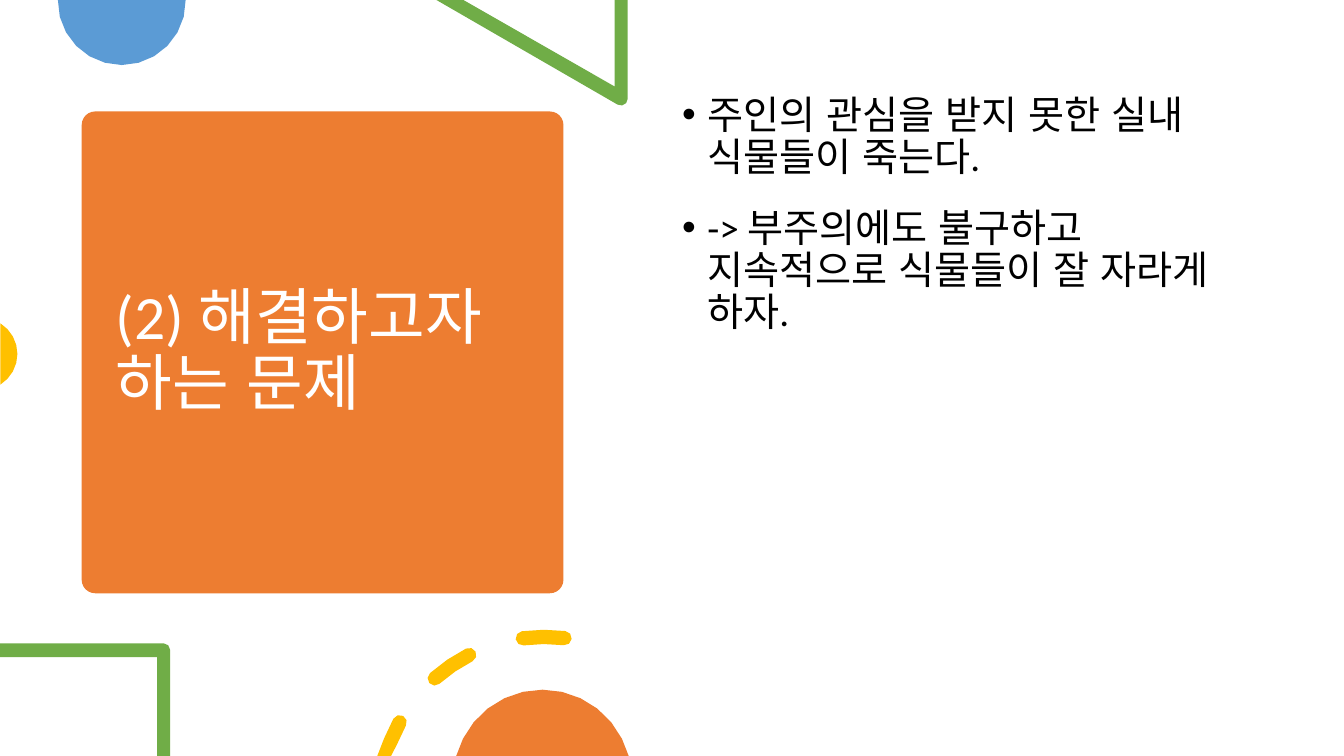
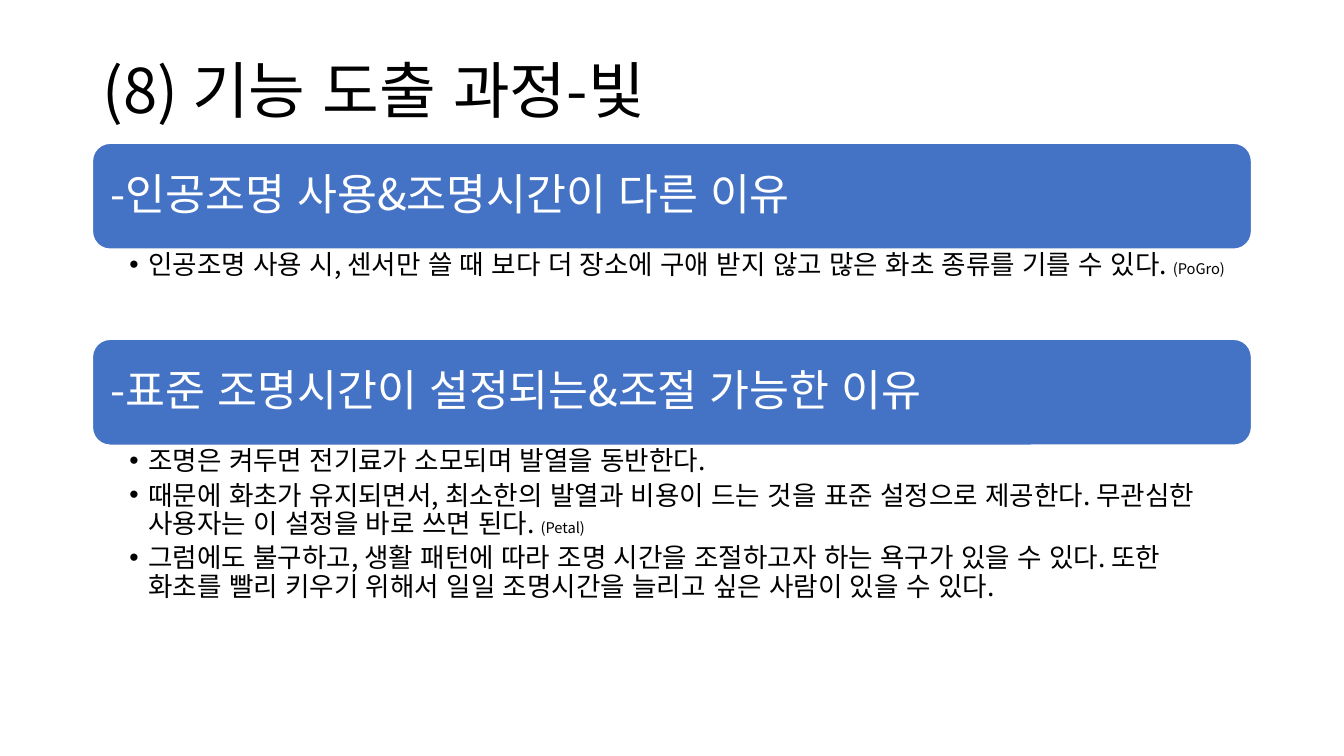
"""Build two slides on a smart plant pot: the problem, and how its light features were derived."""
from math import cos, radians, sin

from lxml.etree import SubElement
from pptx import Presentation
from pptx.dml.color import RGBColor
from pptx.enum.lang import MSO_LANGUAGE_ID as Language
from pptx.enum.shapes import MSO_SHAPE as Shape
from pptx.enum.text import MSO_ANCHOR as Anchor, PP_ALIGN as Align
from pptx.oxml.ns import qn
from pptx.util import Cm, Pt

SLIDE_W, SLIDE_H = 33.87, 19.05
ORANGE, GREEN, YELLOW, SKY, BLUE = "ED7D31", "70AD47", "FFC000", "5B9BD5", "4472C4"
BLACK, WHITE = "000000", "FFFFFF"
LATIN, KOREAN = "Calibri", "Noto Sans CJK KR"
TITLE_SIZE, NOTE_SIZE = 44, 10.5

PROBLEM_TITLE = "(2) 해결하고자 하는 문제"
PROBLEMS = [
    ["주인의 관심을 받지 못한 실내 식물들이 죽는다."],
    ["-> 부주의에도 불구하고 지속적으로 식물들이 잘 자라게 하자."],
]
LIGHT_TITLE = "(8) 기능 도출 과정-빛"
LIGHT_SECTIONS = [
    ("-인공조명 사용&조명시간이 다른 이유", 2.27, [
        ["인공조명 사용 시, 센서만 쓸 때 보다 더 장소에 구애 받지 않고 "
         "많은 화초 종류를 기를 수 있다. ", "(PoGro)"],
    ]),
    ("-표준 조명시간이 설정되는&조절 가능한 이유", 5.89, [
        ["조명은 켜두면 전기료가 소모되며 발열을 동반한다."],
        ["때문에 화초가 유지되면서, 최소한의 발열과 비용이 드는 것을 표준 설정으로 "
         "제공한다. 무관심한 사용자는 이 설정을 바로 쓰면 된다. ", "(Petal)"],
        ["그럼에도 불구하고, 생활 패턴에 따라 조명 시간을 조절하고자 하는 욕구가 있을 수 있다. "
         "또한 화초를 빨리 키우기 위해서 일일 조명시간을 늘리고 싶은 사람이 있을 수 있다."],
    ]),
]
SECTIONS_LEFT, SECTIONS_TOP, SECTIONS_W, BAR_H = 2.33, 3.61, 29.21, 2.67


def rgb(color):
    return RGBColor.from_string(color)


def arc(x, y, radius, start, end, steps):
    angles = [radians(start + (end - start) * i / steps) for i in range(steps + 1)]
    return [(x + radius * cos(a), y + radius * sin(a)) for a in angles]


def ring_dash(x, y, radius, start, end, half):
    """Outline one round-ended dash of a ring."""
    first, last = arc(x, y, radius, start, end, 1)
    return (arc(x, y, radius + half, start, end, 2) + arc(*last, half, end + 45, end + 135, 2)
            + arc(x, y, radius - half, end, start, 2)
            + arc(*first, half, start + 225, start + 315, 2))


DECORATIONS = [
    (SKY, [arc(3.07, 0.03, 1.61, -1, 181, 12)]),
    (GREEN, [[(15.82, 0), (15.49, 0), (15.49, 2.18), (11.68, 0), (11, 0)]
             + arc(15.65, 2.49, 0.17, 120, 0, 3)]),
    (YELLOW, [arc(-0.47, 8.92, 0.91, -58, 58, 8)]),
    (GREEN, [[(0, 16.21)] + arc(4.12, 16.38, 0.17, 270, 360, 2)
             + [(4.29, SLIDE_H), (3.96, SLIDE_H), (3.96, 16.56), (0, 16.56)]]),
    (YELLOW, [ring_dash(13.72, 20.22, 4.17, start, start + 14.5, 0.18)
              for start in (194.5, 228.5, 262.5)]),
    (ORANGE, [arc(13.67, 19.62, 2.24, 194, 346, 12)]),
]


def paint(shape, color, outline=None):
    shape.shadow.inherit = False
    shape.fill.solid()
    shape.fill.fore_color.rgb = rgb(color)
    if outline:
        shape.line.color.rgb = rgb(outline)
        shape.line.width = Pt(1)
    else:
        shape.line.fill.background()


def add_outline(slide, color, contours):
    """Draw closed contours as one shape, cut off at the slide edges."""
    contours = [[(Cm(min(max(x, 0), SLIDE_W)), Cm(min(max(y, 0), SLIDE_H))) for x, y in contour]
                for contour in contours]
    builder = slide.shapes.build_freeform(*contours[0][0])
    for contour in contours:
        if contour is not contours[0]:
            builder.move_to(*contour[0])
        builder.add_line_segments(contour[1:], close=True)
    paint(builder.convert_to_shape(), color)


def write(shape, paragraphs, size, color, font, anchor=Anchor.MIDDLE, insets=(0.25, 0.13, 0.25, 0.13),
          before=0, after=0, hang=0):
    """Fill a shape with paragraphs, each a text and an optional small note."""
    frame = shape.text_frame
    frame.word_wrap = True
    frame.vertical_anchor = anchor
    frame.margin_left, frame.margin_top, frame.margin_right, frame.margin_bottom = map(Cm, insets)
    for i, texts in enumerate(paragraphs):
        paragraph = frame.add_paragraph() if i else frame.paragraphs[0]
        paragraph.alignment = Align.LEFT
        paragraph.line_spacing = 0.9
        paragraph.space_before, paragraph.space_after = Pt(before), Pt(after)
        props = paragraph._p.get_or_add_pPr()
        if hang:
            props.set("marL", str(Cm(hang)))
            props.set("indent", str(-Cm(hang)))
            SubElement(props, qn("a:buFont")).set("typeface", "Arial")
            SubElement(props, qn("a:buChar")).set("char", "•")
        paragraph.font.size = Pt(size)
        paragraph.font.language_id = Language.KOREAN
        paragraph.font.color.rgb = rgb(color)
        paragraph.font.name = font
        SubElement(props.find(qn("a:defRPr")), qn("a:ea")).set("typeface", KOREAN)
        for text in texts:
            run = paragraph.add_run()
            run.text = text
            if text is not texts[0]:
                run.font.size = Pt(NOTE_SIZE)


def add_box(slide, *place):
    return slide.shapes.add_textbox(*map(Cm, place))


def add_card(slide, place, color, outline=None):
    card = slide.shapes.add_shape(Shape.ROUNDED_RECTANGLE, *map(Cm, place))
    paint(card, color, outline)
    return card


def build_problem(slide):
    card = add_card(slide, (2.06, 2.81, 12.14, 12.14), ORANGE)
    card.adjustments[0] = 0.028
    write(card, [[PROBLEM_TITLE]], TITLE_SIZE, WHITE, LATIN, insets=(0.76, 0.13, 0.76, 0.13))
    for color, contours in DECORATIONS:
        add_outline(slide, color, contours)
    write(add_box(slide, 16.94, 2.28, 14.6, 13.59), PROBLEMS, 28, BLACK, LATIN,
          Anchor.TOP, before=10, after=10, hang=0.64)


def build_light(slide):
    title = add_box(slide, SECTIONS_LEFT, 0, SECTIONS_W, 4.7)
    write(title, [[LIGHT_TITLE]], TITLE_SIZE, BLACK, KOREAN)
    top = SECTIONS_TOP
    for heading, list_h, reasons in LIGHT_SECTIONS:
        bar = add_card(slide, (SECTIONS_LEFT, top, SECTIONS_W, BAR_H), BLUE, WHITE)
        write(bar, [[heading]], 31, WHITE, KOREAN, insets=(0.33,) * 4)
        top += BAR_H
        write(add_box(slide, SECTIONS_LEFT, top, SECTIONS_W, list_h), reasons, 19, BLACK, KOREAN,
              Anchor.TOP, (0.93, 0.07, 0.38, 0.07), after=3.8, hang=0.48)
        top += list_h


def main():
    deck = Presentation()
    deck.slide_width, deck.slide_height = Cm(SLIDE_W), Cm(SLIDE_H)
    for build in (build_problem, build_light):
        build(deck.slides.add_slide(deck.slide_layouts[6]))
    deck.save("out.pptx")


if __name__ == "__main__":
    main()
